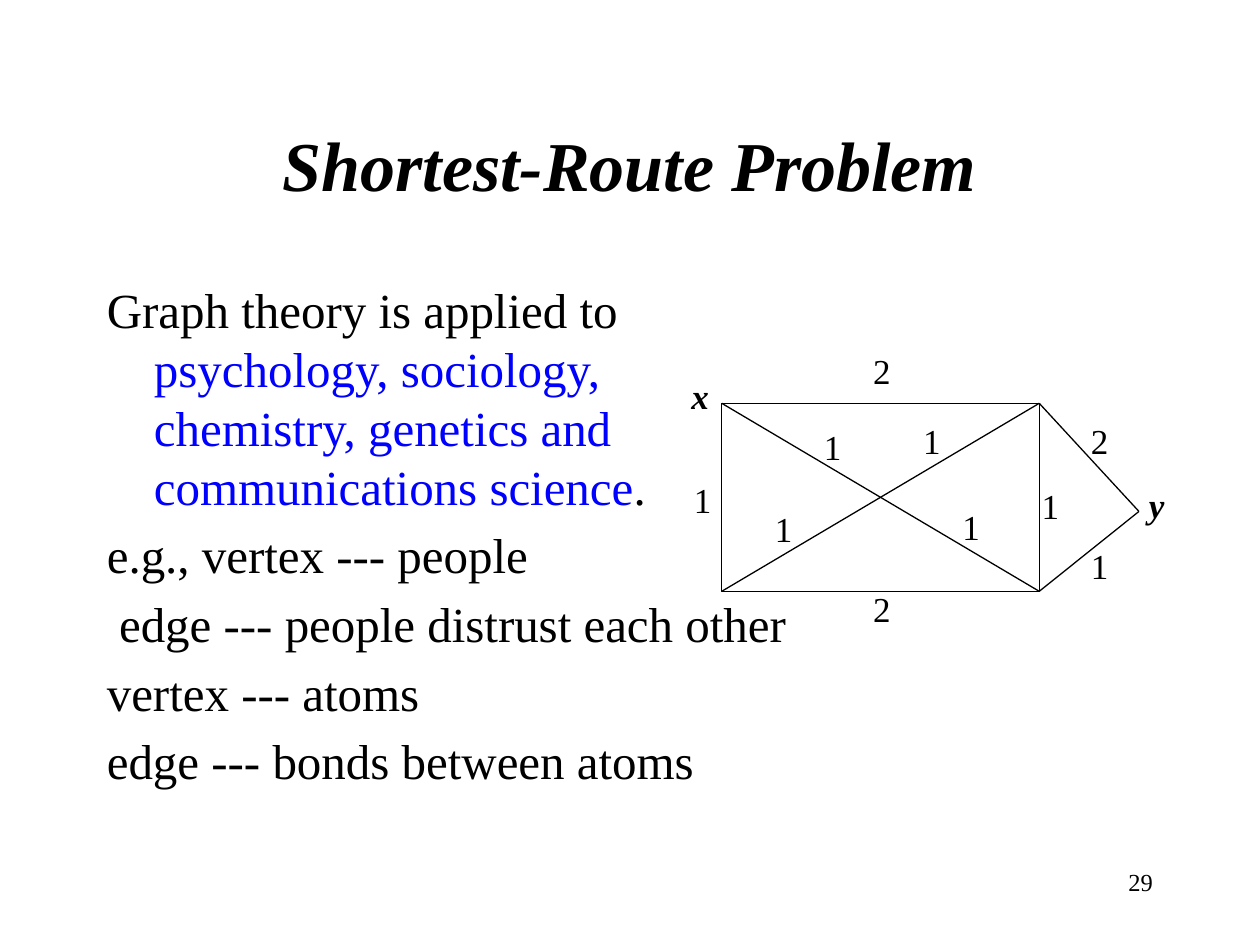
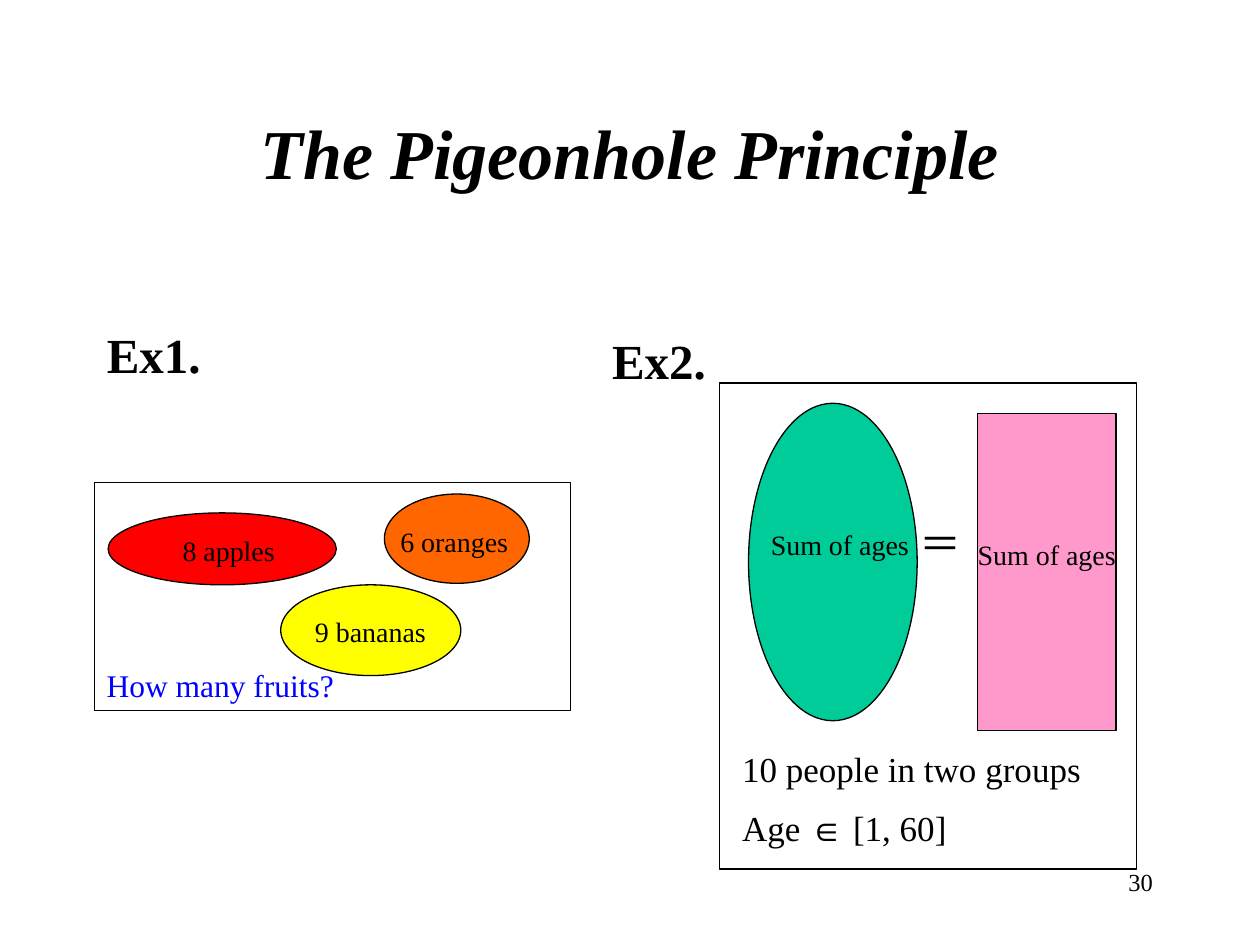
from pptx import Presentation
from pptx.dml.color import RGBColor
from pptx.enum.shapes import MSO_CONNECTOR, MSO_SHAPE
from pptx.enum.text import MSO_ANCHOR, MSO_AUTO_SIZE, PP_ALIGN
from pptx.oxml.ns import qn
from pptx.util import Cm, Pt

FONT = "Times New Roman"
COLORS = {
    "ink": "000000",
    "accent": "0000FF",
    "apple": "FF0000",
    "banana": "FFFF00",
    "orange": "FF6600",
    "group1": "00CC99",
    "group2": "FF99CC",
}
LINE_WIDTH = Pt(0.75)
HANGING = Cm(0.95)


def rgb(name):
    return RGBColor.from_string(COLORS[name])


def style_run(r, size, color="ink", bold=False, italic=False):
    r.font.name = FONT
    r.font.size = Pt(size)
    r.font.color.rgb = rgb(color)
    r.font.bold = bold
    r.font.italic = italic


def place(sp, left, top, width, height):
    sp.left, sp.top = Cm(left), Cm(top)
    sp.width, sp.height = Cm(width), Cm(height)


def add_slide(prs, title, title_top, number):
    s = prs.slides.add_slide(prs.slide_layouts[1])
    sp = s.shapes.title
    place(sp, 1.9, title_top, 21.59, 3.18)
    tf = sp.text_frame
    tf.text = title
    tf.auto_size = MSO_AUTO_SIZE.NONE
    tf.vertical_anchor = MSO_ANCHOR.MIDDLE
    p = tf.paragraphs[0]
    p.alignment = PP_ALIGN.CENTER
    style_run(p.runs[0], 40, bold=True, italic=True)
    add_label(s.shapes, str(number), 18.21, 17.35, 5.28, 1.27, size=14,
              align=PP_ALIGN.RIGHT)
    return s


def fill_body(s, box, paragraphs, bold=False, margin_top=0.13):
    """Fill the body; each paragraph is a list of (text, color) runs."""
    sp = s.placeholders[1]
    place(sp, *box)
    tf = sp.text_frame
    tf.auto_size = MSO_AUTO_SIZE.NONE
    tf.margin_top = Cm(margin_top)
    for i, parts in enumerate(paragraphs):
        p = tf.add_paragraph() if i else tf.paragraphs[0]
        p.space_before = Pt(5.6 if len(paragraphs) > 1 else 0)
        pPr = p._p.get_or_add_pPr()
        pPr.set("marL", str(HANGING))
        pPr.set("indent", str(-HANGING))
        pPr.append(pPr.makeelement(qn("a:buNone"), {}))
        for text, color in parts:
            r = p.add_run()
            r.text = text
            style_run(r, 28, color, bold)


def add_label(shapes, text, left, top, width, height, size=20,
              align=PP_ALIGN.LEFT, **style):
    sp = shapes.add_textbox(Cm(left), Cm(top), Cm(width), Cm(height))
    tf = sp.text_frame
    tf.word_wrap = True
    tf.text = text
    for i, p in enumerate(tf.paragraphs):
        p.alignment = align
        p.space_before = Pt(size / 2 if i else 0)
        style_run(p.runs[0], size, **style)


def add_outlined(shapes, kind, left, top, width, height, fill=None):
    sp = shapes.add_shape(kind, Cm(left), Cm(top), Cm(width), Cm(height))
    sp.shadow.inherit = False
    sp.line.color.rgb = rgb("ink")
    sp.line.width = LINE_WIDTH
    if fill:
        sp.fill.solid()
        sp.fill.fore_color.rgb = rgb(fill)
    else:
        sp.fill.background()


def add_edge(shapes, start, end):
    cn = shapes.add_connector(MSO_CONNECTOR.STRAIGHT,
                              Cm(start[0]), Cm(start[1]), Cm(end[0]), Cm(end[1]))
    cn.line.color.rgb = rgb("ink")
    cn.line.width = LINE_WIDTH
    spPr = cn._element.spPr
    spPr.append(spPr.makeelement(qn("a:effectLst"), {}))


def add_weighted_graph(s):
    shapes = s.shapes.add_group_shape().shapes
    left, top, right, bottom = 14.55, 8.13, 20.95, 11.92
    x, top_right = (left, top), (right, top)
    bottom_left, bottom_right = (left, bottom), (right, bottom)
    y = (22.96, 10.31)
    add_outlined(shapes, MSO_SHAPE.RECTANGLE, left, top, right - left, bottom - top)
    for start, end in [(x, bottom_right), (bottom_left, top_right),
                       (top_right, y), (bottom_right, y)]:
        add_edge(shapes, start, end)

    weights = {
        "1": [(13.74, 9.53), (15.37, 10.11), (16.36, 8.46), (19.15, 10.06),
              (18.36, 8.33), (20.75, 9.65), (21.74, 10.85)],
        "2": [(21.74, 8.33), (17.35, 6.93), (17.35, 11.71)],
    }
    for weight, spots in weights.items():
        for spot in spots:
            add_label(shapes, weight, *spot, 1.4, 1.09)
    for name, spot in [("x", (13.69, 7.42)), ("y", (22.91, 9.63))]:
        add_label(shapes, name, *spot, 1.24, 1.09, bold=True, italic=True)


def add_fruit_example(s):
    shapes = s.shapes.add_group_shape().shapes
    fruits = [
        ("8 apples", "apple", (2.18, 10.34, 4.6, 1.45), (3.43, 10.64, 3.07)),
        ("9 bananas", "banana", (5.66, 11.79, 3.63, 1.83), (6.1, 12.27, 2.79)),
        ("6 oranges", "orange", (7.75, 9.96, 2.92, 1.8), (7.82, 10.44, 3.68)),
    ]
    for text, fill, oval, label in fruits:
        add_outlined(shapes, MSO_SHAPE.OVAL, *oval, fill=fill)
        add_label(shapes, text, *label, 0.94, size=16)
    add_outlined(shapes, MSO_SHAPE.RECTANGLE, 1.9, 9.73, 9.6, 4.6)
    add_label(shapes, "How many fruits?", 1.9, 13.31, 5.79, 1.02, size=18,
              color="accent")


def add_ages_example(s):
    shapes = s.shapes.add_group_shape().shapes
    add_outlined(shapes, MSO_SHAPE.OVAL, 15.09, 8.13, 3.4, 6.4, fill="group1")
    add_outlined(shapes, MSO_SHAPE.RECTANGLE, 19.71, 8.33, 2.79, 6.4, fill="group2")
    for left, top in [(15.29, 10.52), (19.46, 10.72)]:
        add_label(shapes, "Sum of ages", left, top, 3.61, 0.94, size=16)
    add_label(shapes, "＝", 18.29, 10.31, 1.4, 1.27, size=24)
    add_outlined(shapes, MSO_SHAPE.RECTANGLE, 14.5, 7.72, 8.41, 9.8)
    add_label(shapes, "Ex2.", 12.09, 6.53, 3, 1.45, size=28, bold=True)
    add_label(shapes, "10 people in two groups\nAge ∈ [1, 60]",
              14.71, 14.94, 9.6, 2.36)


def main():
    prs = Presentation()
    prs.slide_width, prs.slide_height = Cm(25.4), Cm(19.05)

    s = add_slide(prs, "Shortest-Route Problem", 1.7, 29)
    fill_body(s, (1.9, 5.51, 14.4, 11.43), [
        [("Graph theory is applied to ", "ink"),
         ("psychology, sociology, chemistry, genetics and communications science",
          "accent"),
         (".", "ink")],
        [("e.g., vertex --- people", "ink")],
        [(" edge --- people distrust each other", "ink")],
        [("vertex --- atoms", "ink")],
        [("edge --- bonds between atoms", "ink")],
    ])
    add_weighted_graph(s)

    s = add_slide(prs, "The Pigeonhole Principle", 1.47, 30)
    fill_body(s, (1.9, 4.93, 21.59, 12.07), [[("Ex1.", "ink")]],
              bold=True, margin_top=1.62)
    add_fruit_example(s)
    add_ages_example(s)

    prs.save("out.pptx")


if __name__ == "__main__":
    main()
